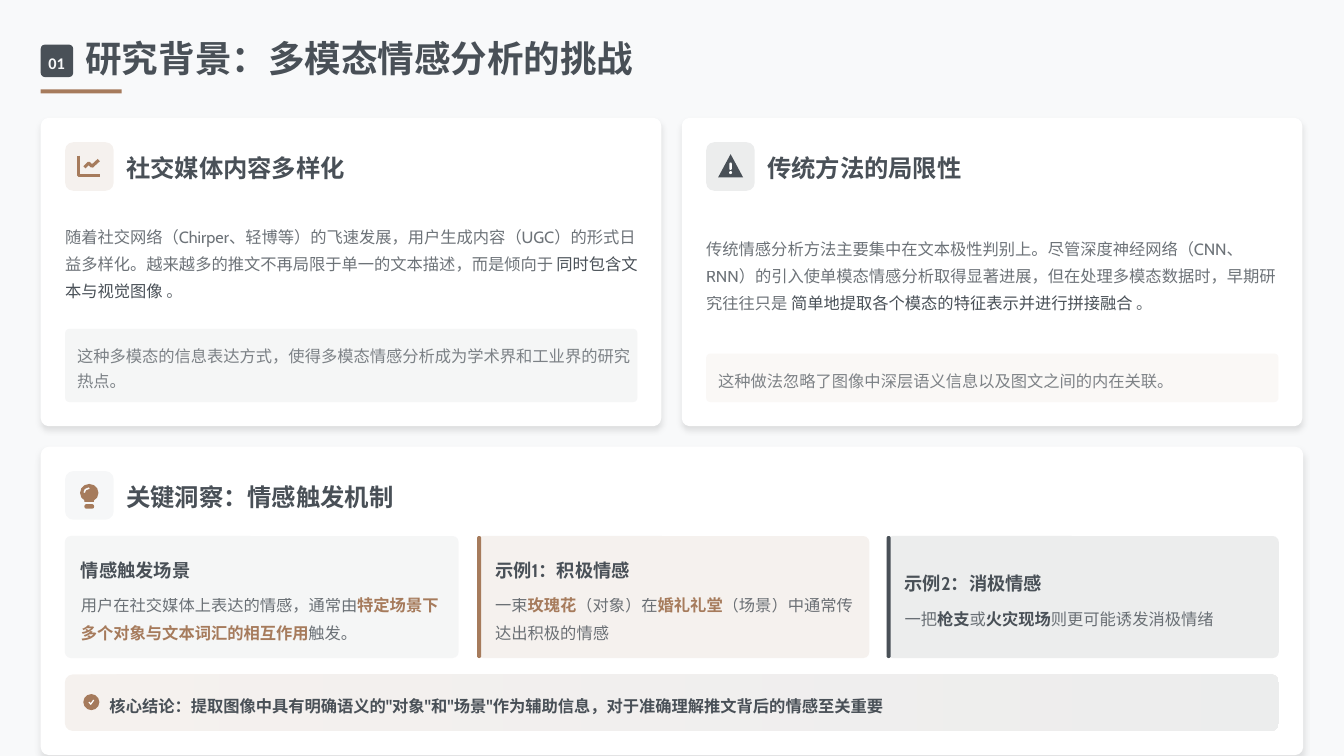
from lxml import etree
from pptx import Presentation
from pptx.dml.color import RGBColor
from pptx.enum.shapes import MSO_SHAPE
from pptx.enum.text import MSO_ANCHOR, MSO_AUTO_SIZE, PP_ALIGN
from pptx.oxml.ns import qn
from pptx.util import Cm, Pt

GREY, BROWN, WHITE, PALE = "495057", "A67B5C", "FFFFFF", "F8F9FA"
CJK = "Noto Sans CJK SC"
RECT, ROUND, OVAL = MSO_SHAPE.RECTANGLE, MSO_SHAPE.ROUNDED_RECTANGLE, MSO_SHAPE.OVAL
SOFT, KEY, DARK = (GREY, 80, False), (BROWN, 100, True), (GREY, 100, True)

prs = Presentation()
prs.slide_width, prs.slide_height = Cm(45.16), Cm(25.4)
s = prs.slides.add_slide(prs.slide_layouts[5])


def paint(fill, color, alpha=100):
    fill.solid()
    fill.fore_color.rgb = RGBColor.from_string(color)
    if alpha < 100:
        rgb = fill._xPr.find(".//" + qn("a:srgbClr"))
        etree.SubElement(rgb, qn("a:alpha"), val=str(alpha * 1000))


def write(x, y, w, h, runs, size=15.5, spacing=1.4, font="Cabin", sp=None):
    """Each run is (text, (colour, alpha, bold))."""
    sp = sp or s.shapes.add_textbox(0, 0, 0, 0)
    sp.left, sp.top, sp.width, sp.height = Cm(x), Cm(y), Cm(w), Cm(h)
    tf = sp.text_frame
    tf.auto_size = MSO_AUTO_SIZE.NONE
    tf.word_wrap = True
    tf.vertical_anchor = MSO_ANCHOR.MIDDLE
    tf.margin_left = tf.margin_right = tf.margin_top = tf.margin_bottom = 0
    p = tf.paragraphs[0]
    p.alignment, p.line_spacing = PP_ALIGN.LEFT, spacing
    for text, _ in runs:
        p.add_run().text = text
    fonts = [p.font] if len(runs) == 1 else [r.font for r in p.runs]
    for f, (_, (color, alpha, bold)) in zip(fonts, runs):
        paint(f.fill, color, alpha)
        f.size, f.name, f.bold = Pt(size), font, bold
        etree.SubElement(f._rPr, qn("a:ea"), typeface=CJK)


paint(s.background.fill, PALE)

# Layout of cards and panels
LEFT, RIGHT, TOP, LOW, PAD = 1.37, 22.91, 3.96, 15.01, 0.82
CARD_W, WIDE_W, CARD_H = 20.85, 42.42, 10.36
PANEL_Y, PANEL_H = 18.01, 4.1
NOTE_BOTTOM = 13.51
cards = [
    (LEFT, TOP, CARD_W, BROWN, "社交媒体内容多样化"),
    (RIGHT, TOP, CARD_W, GREY, "传统方法的局限性"),
    (LEFT, LOW, WIDE_W, "ADB5BD", "关键洞察：情感触发机制"),
]
notes = [
    (LEFT, 2.46, GREY, "这种多模态的信息表达方式，使得多模态情感分析成为学术界和工业界的研究热点。", 3.56, [
        ("随着社交网络（Chirper、轻博等）的飞速发展，用户生成内容（UGC）的形式日益多样化。"
         "越来越多的推文不再局限于单一的文本描述，而是倾向于", SOFT),
        (" 同时包含文本与视觉图像 ", (GREY, 100, False)), ("。", SOFT)]),
    (RIGHT, 1.63, BROWN, "这种做法忽略了图像中深层语义信息以及图文之间的内在关联。", 4.37, [
        ("传统情感分析方法主要集中在文本极性判别上。尽管深度神经网络（CNN、RNN）的引入"
         "使单模态情感分析取得显著进展，但在处理多模态数据时，早期研究往往只是", SOFT),
        (" 简单地提取各个模态的特征表示并进行拼接融合 ", (GREY, 100, False)), ("。", SOFT)]),
]
panels = [
    (2.18, 13.23, GREY, 5, 0.54, "情感触发场景", 1.78, [
        ("用户在社交媒体上表达的情感，通常由", SOFT),
        ("特定场景下多个对象与文本词汇的相互作用", KEY), ("触发。", SOFT)]),
    (16.03, 13.18, BROWN, 10, 0.61, "示例1：积极情感", 1.78, [
        ("一束", SOFT), ("玫瑰花", KEY), ("（对象）在", SOFT), ("婚礼礼堂", KEY),
        ("（场景）中通常传达出积极的情感", SOFT)]),
    (29.79, 13.18, GREY, 10, 0.61, "示例2：消极情感", 0.89, [
        ("一把", SOFT), ("枪支", DARK), ("或", SOFT), ("火灾现场", DARK),
        ("则更可能诱发消极情绪", SOFT)]),
]

# Shapes from back to front: kind, x, y, w, h, corner radius, colour, opacity
shapes = [
    (ROUND, LEFT, 1.5, 1.09, 1.09, 0.14, GREY, 100),
    (RECT, LEFT, 3.0, 2.72, 0.14, 0, BROWN, 100),
]
for x, y, w, tint, _ in cards:
    shapes.append((ROUND, x, y, w, CARD_H, 0.27, WHITE, 100))
    shapes.append((ROUND, x + PAD, y + PAD, 1.63, 1.63, 0.27, tint, 10))
for x, h, tint, *_ in notes:
    shapes.append((ROUND, x + PAD, NOTE_BOTTOM - h, 19.23, h, 0.14, tint, 5))
for x, w, tint, alpha, *_ in panels:
    shapes.append((ROUND, x, PANEL_Y, w, PANEL_H, 0.2, tint, alpha))
    if alpha == 10:
        shapes.append((ROUND, x, PANEL_Y, 0.14, PANEL_H, 0.07, tint, 100))
shapes += [
    # Warning sign
    (MSO_SHAPE.ISOSCELES_TRIANGLE, 24.13, 5.18, 0.84, 0.78, 0, GREY, 100),
    (ROUND, 24.51, 5.46, 0.08, 0.25, 0.04, WHITE, 100),
    (OVAL, 24.5, 5.75, 0.1, 0.1, 0, WHITE, 100),
    # Light bulb
    (OVAL, 2.69, 16.26, 0.62, 0.6, 0, BROWN, 100),
    (RECT, 2.84, 16.7, 0.32, 0.16, 0, BROWN, 100),
    (ROUND, 2.84, 16.94, 0.32, 0.15, 0.06, BROWN, 100),
    # Tick disc
    (OVAL, 2.8, 23.32, 0.54, 0.54, 0, BROWN, 100),
]
for kind, x, y, w, h, radius, color, alpha in shapes:
    sp = s.shapes.add_shape(kind, Cm(x), Cm(y), Cm(w), Cm(h))
    paint(sp.fill, color, alpha)
    sp.line.fill.background()
    sp.shadow.inherit = False
    if kind == ROUND:
        sp.adjustments[0] = radius / min(w, h)
    if h == CARD_H:
        effects = sp._element.spPr.find(qn("a:effectLst"))
        shadow = etree.SubElement(effects, qn("a:outerShdw"), blurRad=str(Pt(5.8)),
                                  dist=str(Pt(3.9)), dir="5400000", rotWithShape="0")
        black = etree.SubElement(shadow, qn("a:srgbClr"), val="000000")
        etree.SubElement(black, qn("a:alpha"), val="10000")

# Conclusion bar with a translucent gradient
sp = s.shapes.add_shape(ROUND, Cm(2.18), Cm(22.66), Cm(40.79), Cm(1.9))
sp.adjustments[0] = 0.14
sp.line.fill.background()
sp.shadow.inherit = False
sp.fill.gradient()
sp.fill.gradient_angle = 0
for stop, color in zip(sp.fill.gradient_stops, (BROWN, GREY)):
    stop.color.rgb = RGBColor.from_string(color)
for rgb in sp._element.spPr.iter(qn("a:srgbClr")):
    etree.SubElement(rgb, qn("a:alpha"), val="10000")

# Icon strokes: chart axes, trend, bulb highlight, tick
strokes = [
    (BROWN, 3, [(2.64, 5.23), (2.64, 5.89), (3.35, 5.89)]),
    (BROWN, 3, [(2.84, 5.62), (2.98, 5.48), (3.09, 5.59), (3.32, 5.38)]),
    (PALE, 1.5, [(2.83, 16.55), (2.87, 16.45), (3.0, 16.4)]),
    (WHITE, 1.2, [(2.99, 23.59), (3.05, 23.66), (3.15, 23.52)]),
]
for color, width, points in strokes:
    start, *rest = [(Cm(x), Cm(y)) for x, y in points]
    fb = s.shapes.build_freeform(*start)
    fb.add_line_segments(rest, close=False)
    sp = fb.convert_to_shape()
    sp.fill.background()
    sp.shadow.inherit = False
    paint(sp.line.fill, color)
    sp.line.width = Pt(width)

# Title and number
write(2.87, 1.37, 19.05, 1.37, [("研究背景：多模态情感分析的挑战", DARK)], 34.8, 0.9, CJK, s.shapes.title)
write(1.63, 1.63, 0.86, 0.81, [("01", (PALE, 100, True))], 15.5, 1.3, "Calibri")

# Card text
for x, y, _, _, heading in cards:
    write(x + 2.87, y + 1.09, 0.86 * len(heading), 1.09, [(heading, DARK)], 23.2, 1.1, CJK)
for x, h, _, note, body_h, body in notes:
    write(x + PAD, 6.96, 19.48, body_h, body)
    write(x + 1.22, NOTE_BOTTOM - h + 0.41, 18.67, h - 0.82, [(note, (GREY, 70, False))], 15.5, 1.3)

# Panel text, centred vertically as a block
for x, _, _, _, indent, heading, body_h, body in panels:
    y = PANEL_Y + (PANEL_H - 1.22 - body_h) / 2
    write(x + indent, y, 12.4, 0.97, [(heading, DARK)], 17.4, 1.3)
    write(x + indent, y + 1.22, 12.4, body_h, body)

write(3.68, 23.22, 39.0, 0.81, [(
    "核心结论：提取图像中具有明确语义的\"对象\"和\"场景\"作为辅助信息，"
    "对于准确理解推文背后的情感至关重要", DARK)], 15.5, 1.3)

prs.save("out.pptx")
